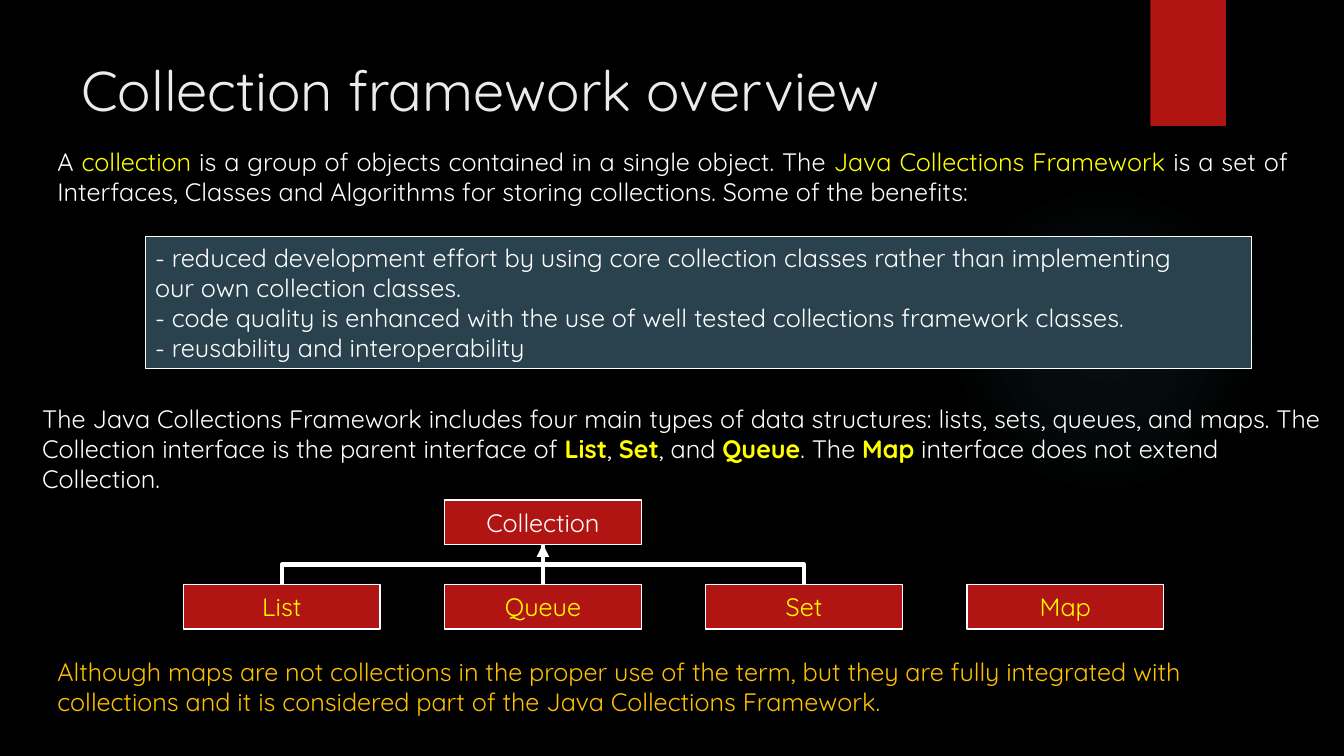
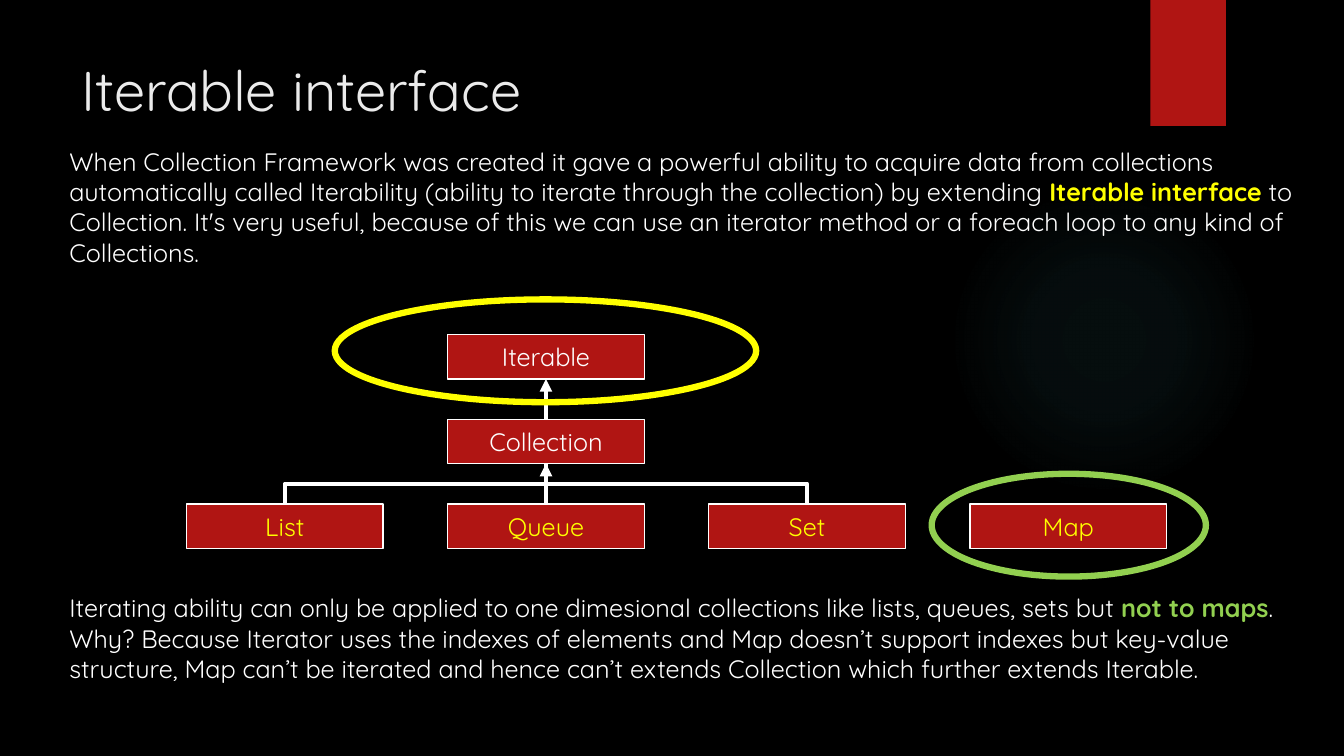
from lxml.etree import SubElement
from pptx import Presentation
from pptx.dml.color import RGBColor
from pptx.enum.shapes import MSO_CONNECTOR, MSO_SHAPE
from pptx.enum.text import MSO_ANCHOR, PP_ALIGN
from pptx.oxml import parse_xml
from pptx.oxml.ns import nsdecls, qn
from pptx.util import Inches, Pt

BLACK, WHITE, PALE = "000000", "FFFFFF", "EBEBEB"
RED, SLATE, TEAL = "B01513", "2A424D", "50B9C1"
YELLOW, AMBER, GREEN = "FFFF00", "FFC000", "92D050"
FACE = "Quicksand"
STRONG = {"color": YELLOW, "bold": True}
BOX_W, BOX_H = 1.95, 0.44
STEP = 2.59   # from one box of a row to the next
RISE = 0.84   # from one row of boxes to the row above


def rgb(code):
    return RGBColor.from_string(code)


def style(font, look):
    base = {"name": FACE, "size": Pt(18), "bold": False, "color": WHITE}
    for key, value in {**base, **look}.items():
        if key == "color":
            font.color.rgb = rgb(value)
        else:
            setattr(font, key, value)


def write(frame, paras, align=PP_ALIGN.LEFT, **look):
    """Fill a frame; a paragraph is a list of strings and (string, look) pairs."""
    frame.word_wrap = True
    for i, runs in enumerate(paras):
        para = frame.add_paragraph() if i else frame.paragraphs[0]
        para.alignment = align
        for part in runs:
            text, extra = (part, {}) if isinstance(part, str) else part
            run = para.add_run()
            run.text = text
            style(run.font, {**look, **extra})


def add_text(slide, at, *runs, **look):
    box = slide.shapes.add_textbox(*map(Inches, at))
    write(box.text_frame, [runs], **look)


def add_form(slide, kind, at, fill=None, line=None, width=1):
    form = slide.shapes.add_shape(kind, *map(Inches, at))
    form.shadow.inherit = False
    if fill:
        form.fill.solid()
        form.fill.fore_color.rgb = rgb(fill)
    else:
        form.fill.background()
    if line:
        form.line.color.rgb = rgb(line)
        form.line.width = Pt(width)
    else:
        form.line.fill.background()
    return form


def add_node(slide, x, y, name, color=WHITE):
    node = add_form(slide, MSO_SHAPE.FLOWCHART_PROCESS,
                    (x, y, BOX_W, BOX_H), RED, WHITE)
    node.text_frame.vertical_anchor = MSO_ANCHOR.MIDDLE
    write(node.text_frame, [[name]], PP_ALIGN.CENTER, color=color)
    return node


def join(slide, child, parent, kind=MSO_CONNECTOR.STRAIGHT):
    """Join the top of the child to the bottom of the parent."""
    link = slide.shapes.add_connector(kind, 0, 0, 0, 0)
    link.begin_connect(child, 0)
    link.end_connect(parent, 2)
    link.line.color.rgb = rgb(WHITE)
    link.line.width = Pt(3)
    SubElement(link._element.spPr, qn("a:effectLst"))
    return link


def add_arrow(slide, child, parent):
    link = join(slide, child, parent)
    SubElement(link.line._get_or_add_ln(), qn("a:tailEnd"), type="triangle")


def add_elbow(slide, child, parent):
    """Turn the elbow a quarter, so that it leaves the child upwards."""
    link = join(slide, child, parent, MSO_CONNECTOR.ELBOW)
    wide, high = link.width, link.height
    shift = (wide - high) // 2
    place = {"left": link.left + shift, "top": link.top - shift,
             "width": high, "height": wide}
    for key, value in place.items():
        setattr(link, key, value)
    frame = link._element.spPr.find(qn("a:xfrm"))
    frame.rot = 270
    frame.flipV, frame.flipH = frame.flipH, False


def add_tree(slide, x, y):
    """Draw the row of four types and their parent, which is returned."""
    names = ("List", "Queue", "Set", "Map")
    row = [add_node(slide, x + i * STEP, y, name, YELLOW)
           for i, name in enumerate(names)]
    root = add_node(slide, x + STEP, y - RISE, "Collection")
    add_arrow(slide, row[1], root)
    for child in (row[0], row[2]):
        add_elbow(slide, child, root)
    return root


def add_glow(slide):
    glow = add_form(slide, MSO_SHAPE.OVAL, (9.41, 1.83, 3.08, 3.08))
    stops = "".join(
        f'<a:gs pos="{pos}000"><a:srgbClr val="{TEAL}">'
        f'<a:alpha val="{alpha}000"/></a:srgbClr></a:gs>'
        for pos, alpha in ((0, 7), (36, 6), (69, 0)))
    fill = parse_xml(
        f'<a:gradFill {nsdecls("a")}><a:gsLst>{stops}</a:gsLst>'
        '<a:path path="circle"><a:fillToRect l="50000" t="50000" '
        'r="50000" b="50000"/></a:path></a:gradFill>')
    props = glow._element.spPr
    props.replace(props.find(qn("a:noFill")), fill)


def add_page(deck, title):
    slide = deck.slides.add_slide(deck.slide_layouts[6])
    back = slide.background.fill
    back.solid()
    back.fore_color.rgb = rgb(BLACK)
    add_glow(slide)
    add_form(slide, MSO_SHAPE.RECTANGLE, (11.41, 0, 0.75, 1.25), RED)
    add_text(slide, (0.71, 0.5, 10.76, 0.88), title, size=Pt(40), color=PALE)
    return slide


def add_gains(slide):
    panel = add_form(slide, MSO_SHAPE.RECTANGLE, (1.44, 2.35, 10.97, 1.31),
                     SLATE, WHITE, 0.75)
    frame = panel.text_frame
    frame.vertical_anchor = MSO_ANCHOR.TOP
    frame.margin_right = Inches(0.6)
    write(frame, [
        ["- reduced development effort by using core collection classes "
         "rather than implementing our own collection classes."],
        ["- code quality is enhanced with the use of well tested "
         "collections framework classes."],
        ["- reusability and interoperability"]])


def add_overview(deck):
    slide = add_page(deck, "Collection framework overview")
    tint = {"color": YELLOW}
    add_text(slide, (0.47, 1.4, 12.4, 0.71),
             "A ", ("collection", tint),
             " is a group of objects contained in a single object. The ",
             ("Java Collections Framework ", tint),
             "is a set of Interfaces, Classes and Algorithms for storing "
             "collections. Some of the benefits:", align=PP_ALIGN.JUSTIFY)
    add_gains(slide)
    add_text(slide, (0.32, 3.95, 12.89, 1.01),
             "The Java Collections Framework includes four main types of "
             "data structures: lists, sets, queues, and maps. The Collection "
             "interface is the parent interface of ",
             ("List", STRONG), ", ", ("Set", STRONG), ", and ",
             ("Queue", STRONG), ". The ", ("Map", STRONG),
             " interface does not extend Collection.")
    add_tree(slide, 1.82, 5.8)
    add_text(slide, (0.47, 6.46, 12.4, 0.71),
             "Although maps are not collections in the proper use of the "
             "term, but they are fully integrated with collections and it is "
             "considered part of the Java Collections Framework.",
             color=AMBER)


def add_iterable(deck):
    slide = add_page(deck, "Iterable interface")
    add_text(slide, (0.59, 1.4, 12.37, 1.31),
             "When Collection Framework was created it gave a powerful "
             "ability to acquire data from collections automatically called "
             "Iterability (ability to iterate through the collection) by "
             "extending ", ("Iterable interface", STRONG),
             " to Collection. It's very useful, because of this we can use "
             "an iterator method or a foreach loop to any kind of "
             "Collections.")
    x, y = 1.85, 5
    root = add_tree(slide, x, y)
    top = add_node(slide, x + STEP, y - 2 * RISE, "Iterable")
    add_arrow(slide, root, top)
    add_text(slide, (0.59, 5.83, 12.37, 1.31),
             "Iterating ability can only be applied to one dimesional "
             "collections like lists, queues, sets but ",
             ("not to maps", {"color": GREEN, "bold": True}),
             ". Why? Because Iterator uses the indexes of elements and Map "
             "doesn’t support indexes but key-value structure, Map can’t be "
             "iterated and hence can’t extends Collection which further "
             "extends Iterable.")
    rings = (((3.32, 2.97, 4.18, 1.02), YELLOW),
             ((9.24, 4.7, 2.72, 1.02), GREEN))
    for at, color in rings:
        add_form(slide, MSO_SHAPE.OVAL, at, line=color, width=4.5)


def main():
    deck = Presentation()
    deck.slide_width, deck.slide_height = Inches(13.33), Inches(7.5)
    add_overview(deck)
    add_iterable(deck)
    deck.save("out.pptx")


if __name__ == "__main__":
    main()
